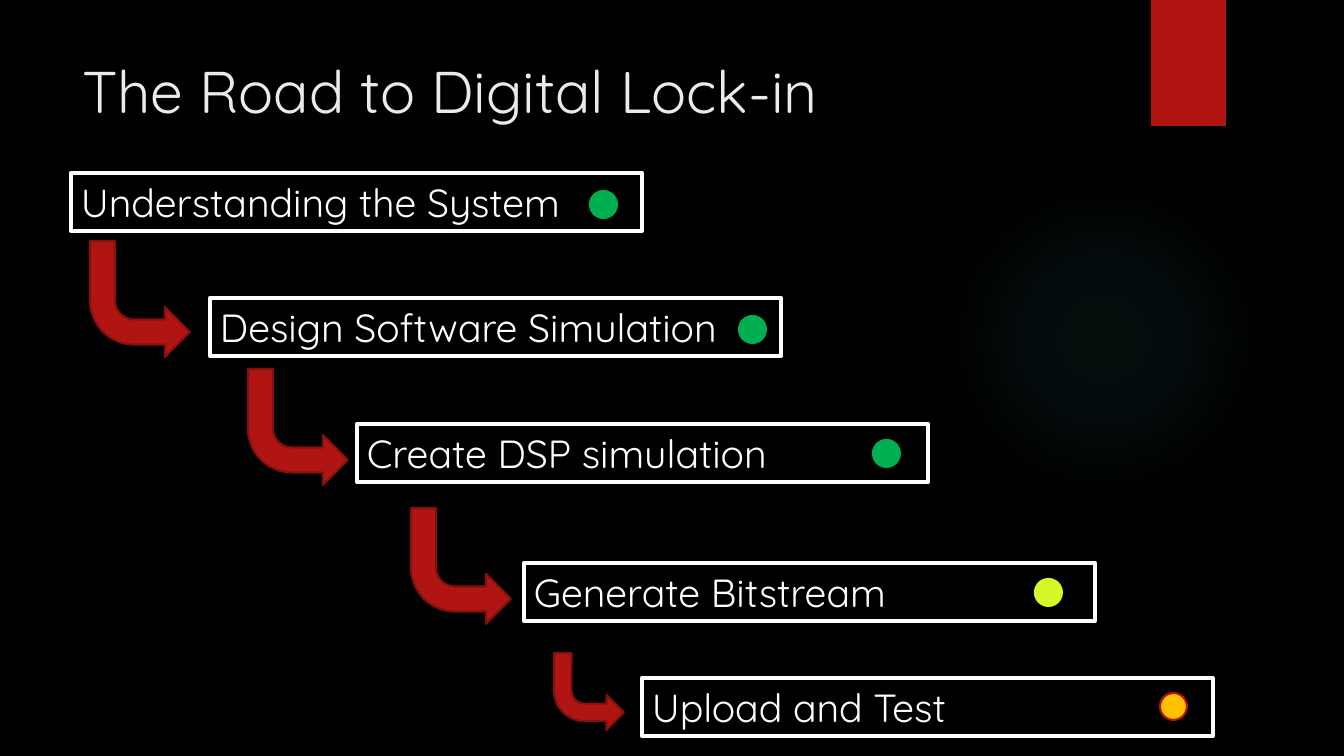
from dataclasses import dataclass

from lxml.etree import SubElement
from pptx import Presentation
from pptx.dml.color import RGBColor
from pptx.enum.shapes import MSO_SHAPE
from pptx.enum.text import MSO_ANCHOR, PP_ALIGN
from pptx.oxml.ns import qn
from pptx.shapes.autoshape import Shape
from pptx.slide import Slide
from pptx.util import Emu, Pt

SLIDE_WIDTH, SLIDE_HEIGHT = 1344, 756
EMU_PER_PX = 12192000 / SLIDE_WIDTH
FONT = "Quicksand"
BLACK = RGBColor(0x00, 0x00, 0x00)
WHITE = RGBColor(0xFF, 0xFF, 0xFF)
TITLE_GREY = RGBColor(0xEB, 0xEB, 0xEB)
RED = RGBColor(0xB0, 0x15, 0x13)
DARK_RED = RGBColor(0x82, 0x10, 0x0E)
GREEN = RGBColor(0x00, 0xB0, 0x50)
LIME = RGBColor(0xD5, 0xF8, 0x28)
AMBER = RGBColor(0xFF, 0xC0, 0x00)
TEAL = RGBColor(0x50, 0xB9, 0xC1)

STEP_WIDTH, STEP_HEIGHT = 571, 58
DOT_SIZE = 27
LARGE_ARROW = (100, 116)
SMALL_ARROW = (70, 77)


@dataclass(frozen=True)
class Step:
    label: str
    left: int
    top: int
    dot_left: int
    dot_top: int
    dot_fill: RGBColor
    dot_line: RGBColor


@dataclass(frozen=True)
class Arrow:
    left: int
    top: int
    size: tuple[int, int] = LARGE_ARROW


STEPS = [
    Step("Understanding the System", 71, 173, 590, 191, GREEN, GREEN),
    Step("Design Software Simulation", 210, 298, 739, 316, GREEN, GREEN),
    Step("Create DSP simulation", 357, 424, 873, 440, GREEN, GREEN),
    Step("Generate Bitstream", 524, 563, 1035, 579, LIME, LIME),
    Step("Upload and Test", 642, 678, 1160, 693, AMBER, RED),
]
ARROWS = [
    Arrow(90, 241),
    Arrow(248, 369),
    Arrow(411, 508),
    Arrow(554, 653, SMALL_ARROW),
]


def px(length: int) -> Emu:
    return Emu(round(length * EMU_PER_PX))


def add_plain_shape(
    slide: Slide, preset: MSO_SHAPE, left: int, top: int, width: int, height: int,
    fill: RGBColor | None = None, line: RGBColor | None = None, line_width: float = 1.5,
) -> Shape:
    shape = slide.shapes.add_shape(preset, px(left), px(top), px(width), px(height))
    shape.shadow.inherit = False
    if fill is None:
        shape.fill.background()
    else:
        shape.fill.solid()
        shape.fill.fore_color.rgb = fill
    if line is None:
        shape.line.fill.background()
    else:
        shape.line.color.rgb = line
        shape.line.width = Pt(line_width)
    return shape


def add_glow(slide: Slide) -> None:
    """Add the faint circle that fades out from its centre."""
    glow = add_plain_shape(slide, MSO_SHAPE.OVAL, 949, 184, 310, 310)
    properties = glow._element.spPr
    gradient = properties.makeelement(qn("a:gradFill"), {"rotWithShape": "1"})
    stops = SubElement(gradient, qn("a:gsLst"))
    for position, opacity in [(0, 7), (36, 6), (69, 0)]:
        stop = SubElement(stops, qn("a:gs"), pos=str(position * 1000))
        color = SubElement(stop, qn("a:srgbClr"), val=str(TEAL))
        SubElement(color, qn("a:alpha"), val=str(opacity * 1000))
    circle = SubElement(gradient, qn("a:path"), path="circle")
    SubElement(circle, qn("a:fillToRect"), l="50000", t="50000", r="50000", b="50000")
    properties.replace(properties.find(qn("a:noFill")), gradient)


def add_title(slide: Slide) -> None:
    title = slide.shapes.title
    title.left, title.top, title.width, title.height = px(72), px(50), px(1037), px(154)
    frame = title.text_frame
    frame.text = "The Road to Digital Lock-in"
    frame.vertical_anchor = MSO_ANCHOR.TOP
    format_text(title, 42, TITLE_GREY)


def format_text(shape: Shape, size: int, color: RGBColor) -> None:
    paragraph = shape.text_frame.paragraphs[0]
    paragraph.alignment = PP_ALIGN.LEFT
    paragraph.font.name = FONT
    paragraph.font.size = Pt(size)
    paragraph.font.color.rgb = color


def add_step(slide: Slide, step: Step) -> None:
    box = add_plain_shape(slide, MSO_SHAPE.RECTANGLE, step.left, step.top,
                          STEP_WIDTH, STEP_HEIGHT, line=WHITE, line_width=3)
    box.text_frame.text = step.label
    box.text_frame.word_wrap = True
    box.text_frame.vertical_anchor = MSO_ANCHOR.TOP
    format_text(box, 28, WHITE)
    add_plain_shape(slide, MSO_SHAPE.FLOWCHART_CONNECTOR, step.dot_left, step.dot_top,
                    DOT_SIZE, DOT_SIZE, step.dot_fill, step.dot_line)


def add_arrow(slide: Slide, arrow: Arrow) -> None:
    bent = add_plain_shape(slide, MSO_SHAPE.BENT_ARROW, arrow.left, arrow.top,
                           *arrow.size, RED, DARK_RED)
    bent._element.spPr.find(qn("a:xfrm")).set("flipV", "1")


def main() -> None:
    presentation = Presentation()
    presentation.slide_width = px(SLIDE_WIDTH)
    presentation.slide_height = px(SLIDE_HEIGHT)
    slide = presentation.slides.add_slide(presentation.slide_layouts[5])
    slide.background.fill.solid()
    slide.background.fill.fore_color.rgb = BLACK

    add_glow(slide)
    add_plain_shape(slide, MSO_SHAPE.RECTANGLE, 1151, 0, 75, 126, RED)
    add_title(slide)
    for step in STEPS:
        add_step(slide, step)
    for arrow in ARROWS:
        add_arrow(slide, arrow)
    presentation.save("out.pptx")


if __name__ == "__main__":
    main()
